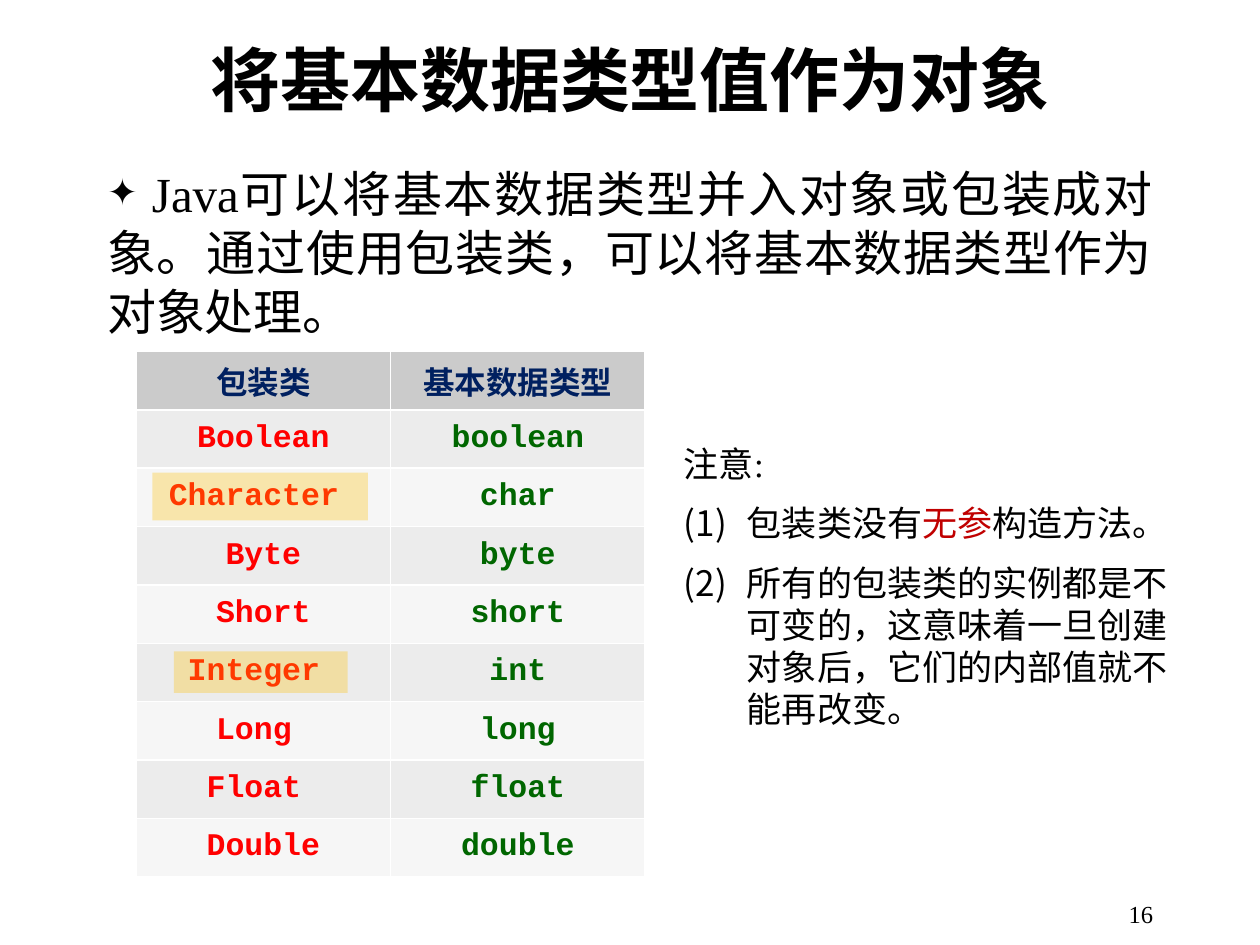
from typing import NamedTuple

from lxml import etree
from pptx import Presentation
from pptx.dml import color
from pptx.enum import shapes, text
from pptx.oxml import ns
from pptx.util import Inches, Pt

CJK = "Noto Sans CJK SC"
SERIF = "Times New Roman"
MONO = "Courier New"
BLACK = "000000"
CENTER = text.PP_ALIGN.CENTER
MIDDLE = text.MSO_ANCHOR.MIDDLE


class Box(NamedTuple):
    left: float
    top: float
    width: float
    height: float

    def lengths(self) -> list:
        return [Inches(value) for value in self]


class Wrapper(NamedTuple):
    wrapper: str
    primitive: str


WRAPPERS = [
    Wrapper("Boolean", "boolean"),
    Wrapper("Character ", "char"),
    Wrapper("Byte", "byte"),
    Wrapper("Short", "short"),
    Wrapper("Integer ", "int"),
    Wrapper("Long ", "long"),
    Wrapper("Float ", "float"),
    Wrapper("Double", "double"),
]
HIGHLIGHTS = [Box(1.21, 3.75, 1.71, 0.38), Box(1.38, 5.17, 1.38, 0.33)]


def rgb(value: str) -> color.RGBColor:
    return color.RGBColor.from_string(value)


def add_xml(parent, tag: str, **attributes: str):
    return etree.SubElement(parent, ns.qn(tag), attributes)


def write(para, words: str, *, size: float, font: str = CJK, ink: str = BLACK,
          bold: bool = False, align=None) -> None:
    span = para.add_run()
    span.text = words
    span.font.size = Pt(size)
    span.font.bold = bold
    span.font.color.rgb = rgb(ink)
    span.font.name = font
    add_xml(span.font._element, "a:ea", typeface=CJK)
    if align is not None:
        para.alignment = align


def place(shape, box: Box) -> None:
    shape.left, shape.top, shape.width, shape.height = box.lengths()


def add_title(page) -> None:
    title = page.shapes.title
    place(title, Box(0.75, 0.03, 8.5, 1.18))
    title.text_frame.auto_size = text.MSO_AUTO_SIZE.NONE
    title.text_frame.vertical_anchor = MIDDLE
    write(title.text_frame.paragraphs[0], "将基本数据类型值作为对象",
          size=40, font=MONO, bold=True, align=CENTER)


def add_body(page) -> None:
    body = page.placeholders[1]
    place(body, Box(0.75, 1.25, 8.5, 5.71))
    body.text_frame.auto_size = text.MSO_AUTO_SIZE.NONE
    para = body.text_frame.paragraphs[0]
    para.space_before = Pt(0)
    props = para._p.get_or_add_pPr()
    props.set("marL", "0")
    props.set("indent", "0")
    add_xml(add_xml(props, "a:buClr"), "a:srgbClr", val=BLACK)
    add_xml(props, "a:buSzPct", val="75000")
    add_xml(props, "a:buChar", char="✦")
    write(para, " Java可以将基本数据类型并入对象或包装成对象。"
                "通过使用包装类，可以将基本数据类型作为对象处理。",
          size=28, font=SERIF, align=text.PP_ALIGN.JUSTIFY)


def add_page_number(page) -> None:
    box = page.shapes.add_textbox(*Box(7.17, 7, 2.08, 0.5).lengths())
    box.text_frame.vertical_anchor = MIDDLE
    write(box.text_frame.paragraphs[0], "16", size=14, font=SERIF,
          align=text.PP_ALIGN.RIGHT)


def fill_cell(cell, words: str, fill: str, ink: str, font: str) -> None:
    cell.fill.solid()
    cell.fill.fore_color.rgb = rgb(fill)
    cell.vertical_anchor = MIDDLE
    write(cell.text_frame.paragraphs[0], words, size=18, font=font, ink=ink,
          bold=True, align=CENTER)


def add_wrapper_table(page) -> None:
    """The default table style supplies the white rules between cells."""
    frame = page.shapes.add_table(len(WRAPPERS) + 1, 2,
                                  *Box(1.08, 2.79, 4.04, 4.17).lengths())
    table = frame.table
    for column, heading in enumerate(("包装类", "基本数据类型")):
        fill_cell(table.cell(0, column), heading, "CBCBCB", "002060", CJK)
    for row, pair in enumerate(WRAPPERS, start=1):
        fill = "ECECEC" if row % 2 else "F6F6F6"
        for column, ink in enumerate(("FF0000", "006600")):
            fill_cell(table.cell(row, column), pair[column], fill, ink, MONO)


def add_numbered(frame, *spans: tuple[str, str]) -> None:
    """Add a numbered paragraph made of (words, ink) spans."""
    para = frame.add_paragraph()
    para.space_before = Pt(10)
    props = para._p.get_or_add_pPr()
    props.set("marL", str(Inches(0.5)))
    props.set("indent", str(-Inches(0.5)))
    add_xml(props, "a:buFont", typeface=CJK)
    add_xml(props, "a:buAutoNum", type="arabicParenBoth")
    for words, ink in spans:
        write(para, words, size=20, ink=ink)


def add_notice(page) -> None:
    box = page.shapes.add_textbox(*Box(5.33, 3.46, 4.21, 2.46).lengths())
    frame = box.text_frame
    frame.word_wrap = True
    write(frame.paragraphs[0], "注意:", size=20, font=SERIF)
    add_numbered(frame, ("包装类没有", BLACK), ("无参", "C00000"),
                 ("构造方法。", BLACK))
    add_numbered(frame, ("所有的包装类的实例都是不可变的，这意味着一旦创建"
                         "对象后，它们的内部值就不能再改变。", BLACK))


def add_highlight(page, box: Box) -> None:
    marker = page.shapes.add_shape(shapes.MSO_SHAPE.RECTANGLE, *box.lengths())
    marker.shadow.inherit = False
    marker.line.fill.background()
    marker.fill.solid()
    marker.fill.fore_color.rgb = rgb("FFC000")
    tint = marker._element.spPr.find(ns.qn("a:solidFill"))[0]
    add_xml(tint, "a:alpha", val="30000")


def main() -> None:
    deck = Presentation()
    deck.slide_width, deck.slide_height = Inches(10), Inches(7.5)
    page = deck.slides.add_slide(deck.slide_layouts[1])
    add_title(page)
    add_body(page)
    add_page_number(page)
    add_wrapper_table(page)
    add_notice(page)
    for box in HIGHLIGHTS:
        add_highlight(page, box)
    deck.save("out.pptx")


if __name__ == "__main__":
    main()
